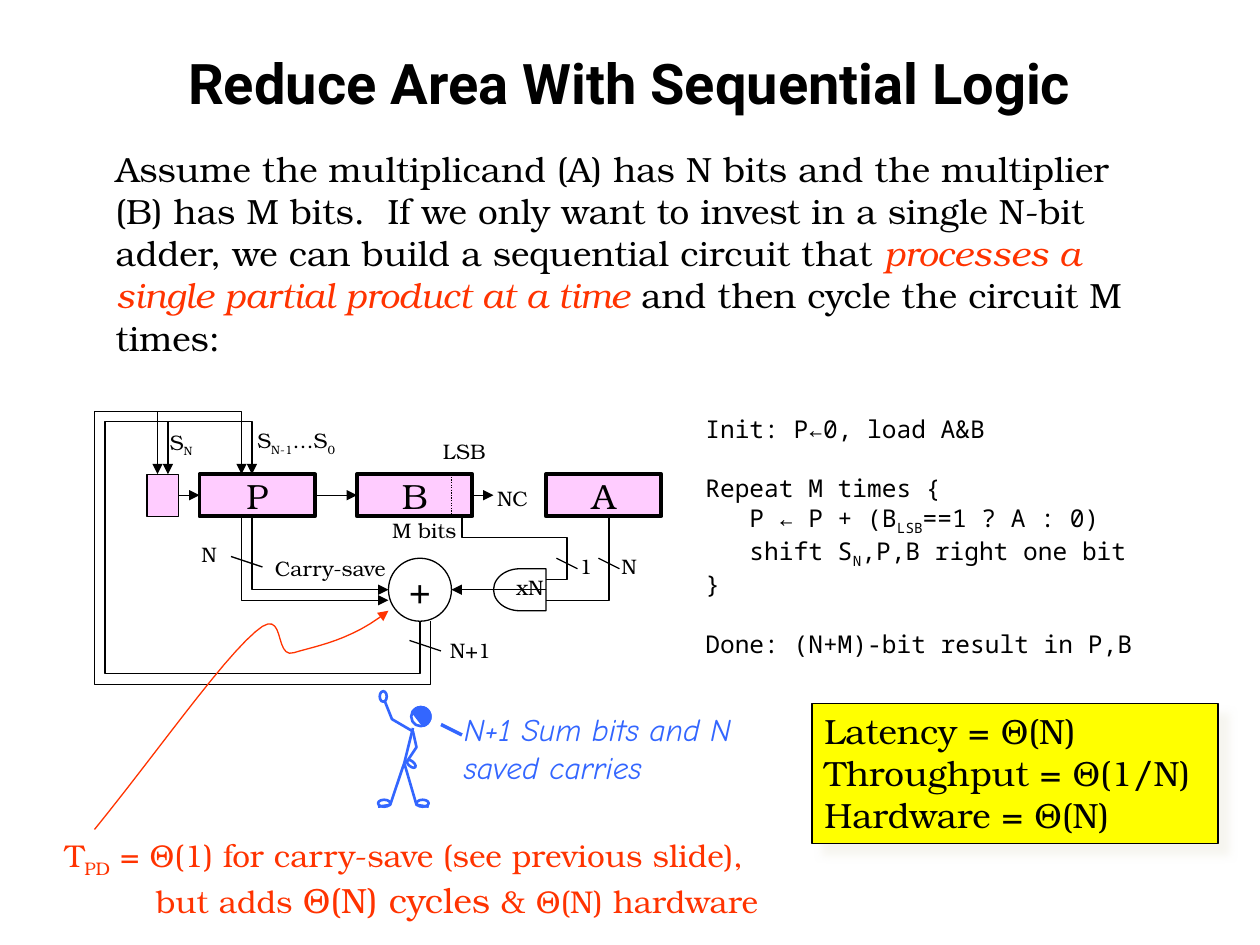
from lxml import etree
from pptx import Presentation
from pptx.dml.color import RGBColor
from pptx.enum.dml import MSO_LINE
from pptx.enum.shapes import MSO_CONNECTOR, MSO_SHAPE
from pptx.enum.text import MSO_ANCHOR, PP_ALIGN
from pptx.oxml.ns import qn
from pptx.util import Pt

STRAIGHT = MSO_CONNECTOR.STRAIGHT
RECTANGLE, OVAL, CHORD = MSO_SHAPE.RECTANGLE, MSO_SHAPE.OVAL, MSO_SHAPE.CHORD
DELAY = MSO_SHAPE.FLOWCHART_DELAY
LEFT, CENTER = PP_ALIGN.LEFT, PP_ALIGN.CENTER
TOP, MIDDLE = MSO_ANCHOR.TOP, MSO_ANCHOR.MIDDLE
DOTTED = MSO_LINE.ROUND_DOT
BLACK, WHITE, PINK, YELLOW = "000000", "FFFFFF", "FFCCFF", "FFFF00"
RED, BLUE = "FF3300", "3366FF"
SERIF, MONO, TITLE, COMIC = "TeX Gyre Bonum", "Noto Sans Mono", "Roboto", "Comic Neue"
SUB = {"subscript": True}
RIGHT_SIDE, LEFT_SIDE = 3, 1


def write_text(shape, paragraphs, size=20, font=SERIF, color=BLACK, bold=False, italic=False,
               align=LEFT, anchor=TOP, wrap=False, gaps=(), indents=()):
    frame = shape.text_frame
    frame.word_wrap = wrap
    frame.vertical_anchor = anchor
    for index, runs in enumerate(paragraphs):
        paragraph = frame.paragraphs[0] if index == 0 else frame.add_paragraph()
        paragraph.alignment = align
        if index in gaps:
            paragraph.space_before = Pt(gaps[index])
        if index in indents:
            paragraph._p.get_or_add_pPr().set("marL", str(Pt(indents[index])))
        for text, changes in runs:
            run = paragraph.add_run()
            run.text = text
            run.font.name = font
            run.font.size = Pt(changes.get("size", size))
            run.font.bold = bold
            run.font.italic = changes.get("italic", italic)
            run.font.color.rgb = RGBColor.from_string(changes.get("color", color))
            if changes.get("subscript"):
                run._r.get_or_add_rPr().set("baseline", "-25000")


def style_shape(shape, color=BLACK, width=0.75, arrow=False, fill=None):
    shape.line.color.rgb = RGBColor.from_string(color)
    shape.line.width = Pt(width)
    properties = shape._element.spPr
    if arrow:
        etree.SubElement(properties.find(qn("a:ln")), qn("a:tailEnd"), type="triangle")
    if fill:
        shape.fill.solid()
        shape.fill.fore_color.rgb = RGBColor.from_string(fill)
    elif hasattr(shape, "fill"):
        shape.fill.background()
    return etree.SubElement(properties, qn("a:effectLst"))


presentation = Presentation()
presentation.slide_width, presentation.slide_height = Pt(720), Pt(540)
slide = presentation.slides.add_slide(presentation.slide_layouts[6])
shapes = slide.shapes

register_top, register_bottom = 271, 295
registers = {}
for name, left, width, border in [("A", 312, 66, 2.25), ("P", 114, 66, 2.25),
                                  ("B", 204, 66, 2.25), ("", 84, 18, 0.75)]:
    register = shapes.add_shape(RECTANGLE, Pt(left), Pt(register_top), Pt(width), Pt(24))
    style_shape(register, width=border, fill=PINK)
    if name:
        write_text(register, [[(name, {})]], align=CENTER, anchor=MIDDLE)
    registers[name] = register

adder = shapes.add_shape(OVAL, Pt(222), Pt(319), Pt(36), Pt(36))
style_shape(adder, fill=WHITE)
write_text(adder, [[("+", {})]], align=CENTER, anchor=MIDDLE)

gate = shapes.add_shape(DELAY, Pt(282), Pt(325), Pt(30), Pt(24))
gate.rotation = 180
style_shape(gate)

for source, target in [("", "P"), ("P", "B")]:
    shift = shapes.add_connector(STRAIGHT, 0, 0, 0, 0)
    shift.begin_connect(registers[source], RIGHT_SIDE)
    shift.end_connect(registers[target], LEFT_SIDE)
    style_shape(shift, arrow=True)

shift_out = shapes.add_connector(STRAIGHT, Pt(270), Pt(283), Pt(282), Pt(283))
shift_out.begin_connect(registers["B"], RIGHT_SIDE)
style_shape(shift_out, arrow=True)

product = shapes.add_connector(STRAIGHT, Pt(282), Pt(337), Pt(258), Pt(337))
product.begin_connect(gate, RIGHT_SIDE)
style_shape(product, arrow=True)

lsb_divider = shapes.add_connector(STRAIGHT, Pt(258), Pt(register_top), Pt(258), Pt(register_bottom))
lsb_divider.line.dash_style = DOTTED
style_shape(lsb_divider)

for x, y, width in [(342, 319, 12), (318, 319, 12), (132, 318, 18), (234, 366, 18)]:
    slash = shapes.add_connector(STRAIGHT, Pt(x), Pt(y), Pt(x + width), Pt(y + 6))
    style_shape(slash)

wire, pen = {"arrow": True}, {"color": BLUE, "width": 1.5}
outlines = [
    ([(312, 331), (324, 331), (324, 307), (264, 307), (264, register_bottom)], {}),
    ([(312, 343), (348, 343), (348, register_bottom)], {}),
    ([(220, 401), (224, 411), (236, 418), (238, 427), (232, 436)], pen),
    ([(216, 461), (223, 460), (231, 436), (238, 460), (245, 461)], pen),
]
for offset in (0, 6):
    carry_x, sum_x, outer_x = 144 - offset, 240 + offset, 60 - offset
    lower_y, upper_y, carry_y = 385 + offset, 241 - offset, 337 + offset
    outlines += [
        ([(carry_x, register_bottom), (carry_x, carry_y), (222, carry_y)], wire),
        ([(sum_x, 355), (sum_x, lower_y), (outer_x, lower_y), (outer_x, upper_y),
          (carry_x, upper_y), (carry_x, register_top)], wire),
    ]
    drop = shapes.add_connector(STRAIGHT, Pt(96 - offset), Pt(upper_y),
                                Pt(96 - offset), Pt(register_top))
    style_shape(drop, arrow=True)

pointer = [(54, 474)]
for controls in [((89, 431), (126, 378), (146, 361)), ((164, 345), (156, 377), (168, 373)),
                 ((181, 369), (201, 366), (222, 349))]:
    curve = [pointer[-1], *controls]
    for step in range(1, 13):
        t = step / 12
        weights = ((1 - t) ** 3, 3 * t * (1 - t) ** 2, 3 * t * t * (1 - t), t ** 3)
        pointer.append([sum(w * v for w, v in zip(weights, axis)) for axis in zip(*curve)])
outlines.append((pointer, {"color": RED, "arrow": True}))

for points, style in outlines:
    corners = [(Pt(x), Pt(y)) for x, y in points]
    builder = shapes.build_freeform(*corners[0])
    builder.add_line_segments(corners[1:], close=False)
    style_shape(builder.convert_to_shape(), **style)

for ends, width in [((236, 416, 231, 436), 1.5), ((252, 414, 264, 420), 2)]:
    stroke = shapes.add_connector(STRAIGHT, *map(Pt, ends))
    style_shape(stroke, BLUE, width)

for kind, box, rotation, fill in [
    (OVAL, (235, 404, 11, 11), 0, None),
    (CHORD, (235, 404, 11, 11), 165, BLUE),
    (OVAL, (217, 395, 4, 6), 0, None),
    (OVAL, (232, 435, 6, 3), 40, None),
    (OVAL, (216, 457, 7, 4), 0, None),
    (OVAL, (238, 457, 7, 4), 0, None),
]:
    body_part = shapes.add_shape(kind, *map(Pt, box))
    body_part.rotation = rotation
    style_shape(body_part, fill=fill, **pen)

for left, top, width, runs in [
    (90, 242, 29, [("S", {}), ("N", SUB)]),
    (140, 241, 62, [("S", {}), ("N-1", SUB), ("…S", {}), ("0", SUB)]),
    (277, 274, 32, [("NC", {})]),
    (348, 313, 24, [("N", {})]),
    (324, 313, 22, [("1", {})]),
    (288, 325, 31, [("xN", {})]),
    (108, 306, 24, [("N", {})]),
    (250, 361, 38, [("N+1", {})]),
    (217, 292, 53, [("M bits", {})]),
    (246, 247, 39, [("LSB", {})]),
    (150, 314, 78, [("Carry-save", {})]),
]:
    label = shapes.add_textbox(Pt(left), Pt(top), Pt(width), Pt(21.6))
    write_text(label, [runs], size=12)

latency_box = shapes.add_shape(RECTANGLE, Pt(464), Pt(402), Pt(232), Pt(80))
effects = style_shape(latency_box, fill=YELLOW)
shadow = etree.SubElement(effects, qn("a:outerShdw"), blurRad=str(Pt(5)), dist=str(Pt(8.5)),
                          dir="2700000", algn="tl", rotWithShape="0")
shadow_color = etree.SubElement(shadow, qn("a:srgbClr"), val="EEECE1")
etree.SubElement(shadow_color, qn("a:alpha"), val="50000")
write_text(latency_box, [[("Latency = Θ(N)", {})], [("Throughput = Θ(1/N)", {})],
                         [("Hardware = Θ(N)", {})]])

title = [[("Reduce Area With Sequential Logic", {})]]
introduction = [[
    ("Assume the multiplicand (A) has N bits and the multiplier (B) has M bits.  If we only want "
     "to invest in a single N-bit adder, we can build a sequential circuit that ", {}),
    ("processes a single partial product at a time", {"color": RED, "italic": True}),
    (" and then cycle the circuit M times:", {})]]
algorithm = [
    [("Init: P←0, load A&B", {})],
    [("Repeat M times {", {})],
    [("   P ← P + (B", {}), ("LSB", SUB), ("==1 ? A : 0)", {})],
    [("   shift S", {}), ("N", SUB), (",P,B right one bit", {})],
    [("}", {})],
    [("Done: (N+M)-bit result in P,B", {})]]
delay_note = [
    [("T", {}), ("PD", SUB), (" = Θ(1) for carry-save (see previous slide),", {})],
    [("but adds ", {}), ("Θ(N) cycles", {"size": 20}), (" & Θ(N) hardware", {})]]
remark = [[("N+1 Sum bits and N saved carries", {})]]

for box, paragraphs, style in [
    ((36, 22, 648, 50), title,
     {"size": 32, "font": TITLE, "bold": True, "align": CENTER, "anchor": MIDDLE, "wrap": True}),
    ((59, 81, 601, 128), introduction, {"wrap": True}),
    ((396, 233, 261, 143), algorithm, {"size": 14, "font": MONO, "gaps": {1: 17, 5: 17}}),
    ((30, 474, 413, 53), delay_note, {"size": 18, "color": RED, "indents": {1: 52}}),
    ((258, 402, 168, 51), remark,
     {"size": 18, "font": COMIC, "color": BLUE, "italic": True, "wrap": True}),
]:
    write_text(shapes.add_textbox(*map(Pt, box)), paragraphs, **style)

presentation.save("out.pptx")
